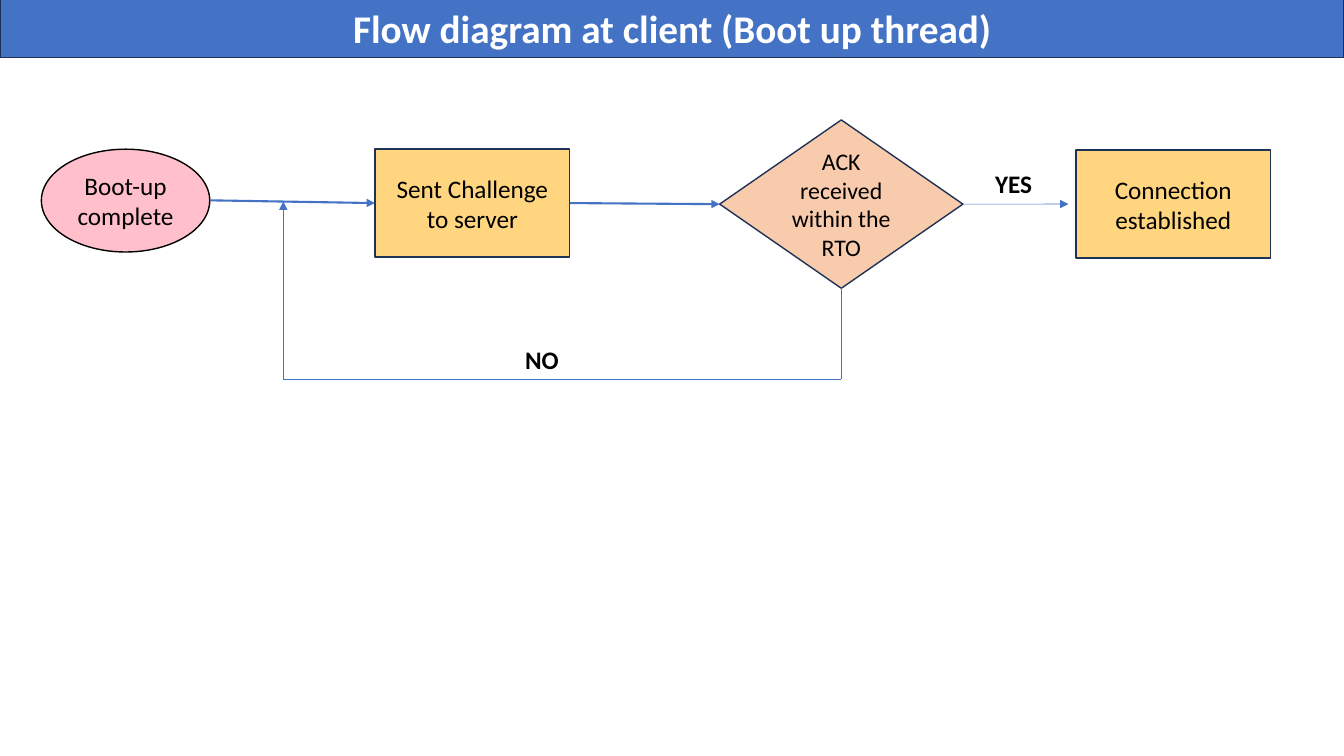
from lxml import etree
from pptx import Presentation
from pptx.dml.color import RGBColor
from pptx.enum.shapes import MSO_CONNECTOR, MSO_SHAPE
from pptx.enum.text import MSO_ANCHOR, MSO_AUTO_SIZE, PP_ALIGN
from pptx.oxml.ns import qn
from pptx.util import Inches, Pt

STRAIGHT = MSO_CONNECTOR.STRAIGHT
RECTANGLE, OVAL, DIAMOND = MSO_SHAPE.RECTANGLE, MSO_SHAPE.OVAL, MSO_SHAPE.DIAMOND
MIDDLE, CENTER, LEFT = MSO_ANCHOR.MIDDLE, PP_ALIGN.CENTER, PP_ALIGN.LEFT
FIXED, GROW = MSO_AUTO_SIZE.NONE, MSO_AUTO_SIZE.SHAPE_TO_FIT_TEXT
SIDE_LEFT, SIDE_BOTTOM, SIDE_RIGHT = 1, 2, 3
TITLE_ONLY = 5
WIDTH, HEIGHT = Inches(13.33), Inches(7.5)
COLUMNS = ROWS = 100
BLUE, NAVY, BLACK, WHITE = "4472C4", "1E3256", "000000", "FFFFFF"
PINK, AMBER, PEACH = "FFC0CB", "FFD580", "F8CBAD"


def color(value):
    return RGBColor.from_string(value)


def write(frame, text, size=18, ink=BLACK, bold=False, align=CENTER, wrap=True, fit=FIXED):
    frame.word_wrap = wrap
    frame.auto_size = fit
    paragraph = frame.paragraphs[0]
    paragraph.alignment = align
    run = paragraph.add_run()
    run.text = text
    run.font.name = "Calibri"
    run.font.size = Pt(size)
    run.font.bold = bold
    run.font.color.rgb = color(ink)


class FlowSlide:
    def __init__(self, presentation):
        self.slide = presentation.slides.add_slide(presentation.slide_layouts[TITLE_ONLY])
        self.shapes = self.slide.shapes

    def point(self, column, row):
        return round(WIDTH * column / COLUMNS), round(HEIGHT * row / ROWS)

    def box(self, column, row, columns, rows):
        return *self.point(column, row), *self.point(columns, rows)

    def paint(self, shape, fill, outline):
        shape.fill.solid()
        shape.fill.fore_color.rgb = color(fill)
        shape.line.color.rgb = color(outline)
        shape.line.width = Pt(1)
        shape.text_frame.vertical_anchor = MIDDLE

    def title(self, text, area):
        title = self.shapes.title
        title.left, title.top, title.width, title.height = self.box(*area)
        self.paint(title, BLUE, NAVY)
        write(title.text_frame, text, size=28, ink=WHITE, bold=True)

    def step(self, kind, text, area, fill, outline=NAVY, size=18):
        shape = self.shapes.add_shape(kind, *self.box(*area))
        shape.shadow.inherit = False
        self.paint(shape, fill, outline)
        write(shape.text_frame, text, size=size)
        return shape

    def label(self, text, area):
        shape = self.shapes.add_textbox(*self.box(*area))
        write(shape.text_frame, text, bold=True, align=LEFT, wrap=False, fit=GROW)

    def line(self, start, end, start_joint=None, end_joint=None, weight=0.5, arrow=True):
        connector = self.shapes.add_connector(STRAIGHT, *self.point(*start), *self.point(*end))
        if start_joint:
            connector.begin_connect(*start_joint)
        if end_joint:
            connector.end_connect(*end_joint)
        connector.line.color.rgb = color(BLUE)
        connector.line.width = Pt(weight)
        if arrow:
            outline = connector.line._get_or_add_ln()
            etree.SubElement(outline, qn("a:tailEnd"), type="triangle")
        etree.SubElement(connector._element.spPr, qn("a:effectLst"))


def main():
    presentation = Presentation()
    presentation.slide_width, presentation.slide_height = WIDTH, HEIGHT
    flow = FlowSlide(presentation)
    flow.title("Flow diagram at client (Boot up thread)", (0, -0.27, 100, 7.87))

    flow.step(OVAL, "Boot-up complete", (3.08, 19.73, 12.53, 13.6), PINK, BLACK)
    challenge = flow.step(RECTANGLE, "Sent Challenge to server", (27.9, 19.73, 14.5, 14.27), AMBER)
    decision = flow.step(DIAMOND, "ACK received within the RTO", (53.55, 15.87, 18.1, 22.27), PEACH, size=17)
    flow.step(RECTANGLE, "Connection established", (80.05, 19.87, 14.5, 14.27), AMBER)

    boot_exit, challenge_entry, challenge_exit = (15.61, 26.5), (27.9, 26.87), (42.4, 26.87)
    decision_entry, decision_exit, decision_bottom = (53.55, 27), (71.65, 27), (62.6, 38.14)
    loop_right, loop_left, loop_top = (62.6, 50.13), (21.08, 50.13), (21.08, 26.67)

    flow.line(boot_exit, challenge_entry, end_joint=(challenge, SIDE_LEFT), weight=1.5)
    flow.line(challenge_exit, decision_entry, (challenge, SIDE_RIGHT), (decision, SIDE_LEFT), weight=1.5)
    flow.line(decision_exit, (79.5, 27), (decision, SIDE_RIGHT))
    flow.line(decision_bottom, loop_right, (decision, SIDE_BOTTOM), arrow=False)
    flow.line(loop_right, loop_left, arrow=False)
    flow.line(loop_left, loop_top)

    flow.label("NO", (38.33, 44.93, 4.05, 5.33))
    flow.label("YES", (73.3, 21.6, 4.28, 5.33))
    presentation.save("out.pptx")


if __name__ == "__main__":
    main()
